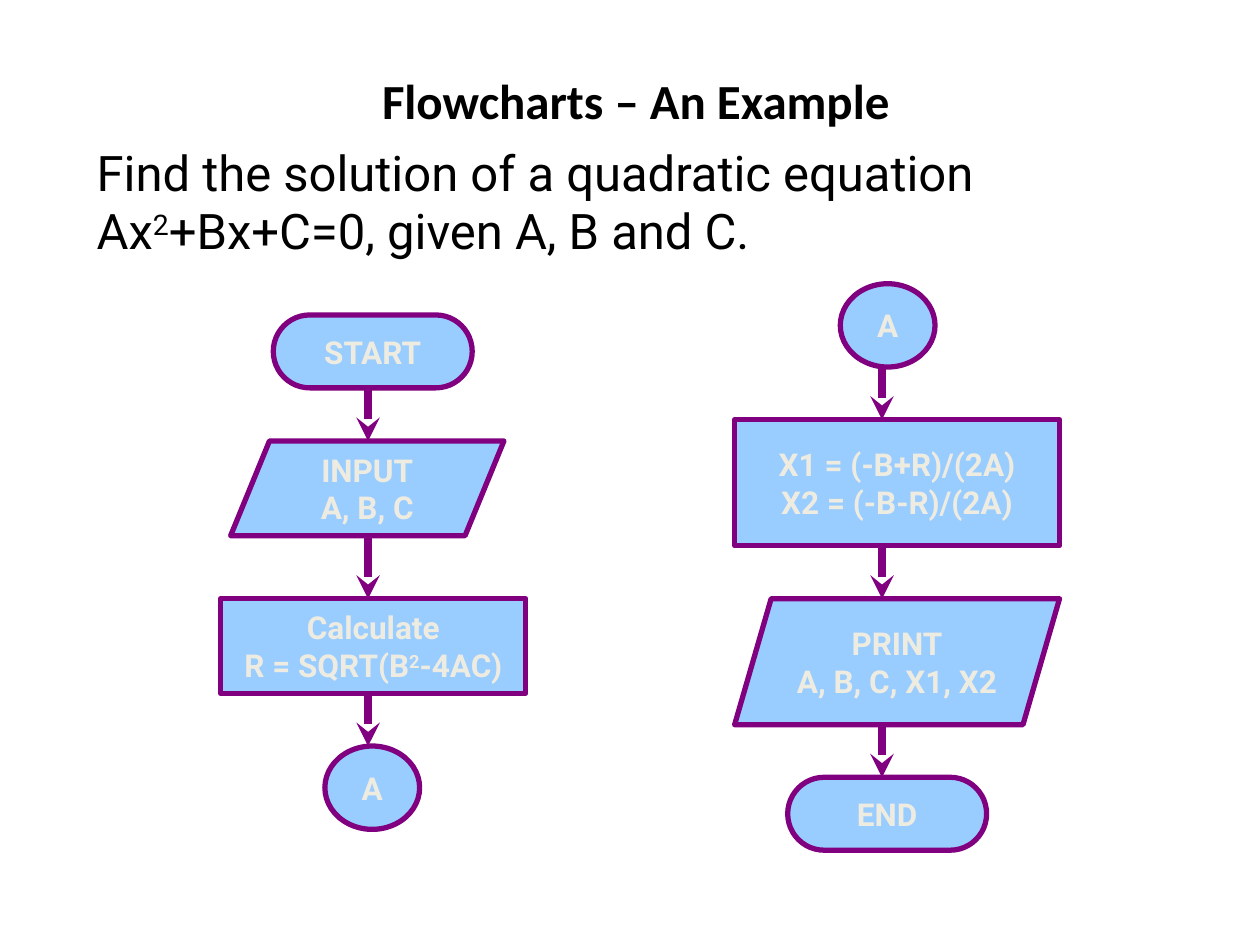
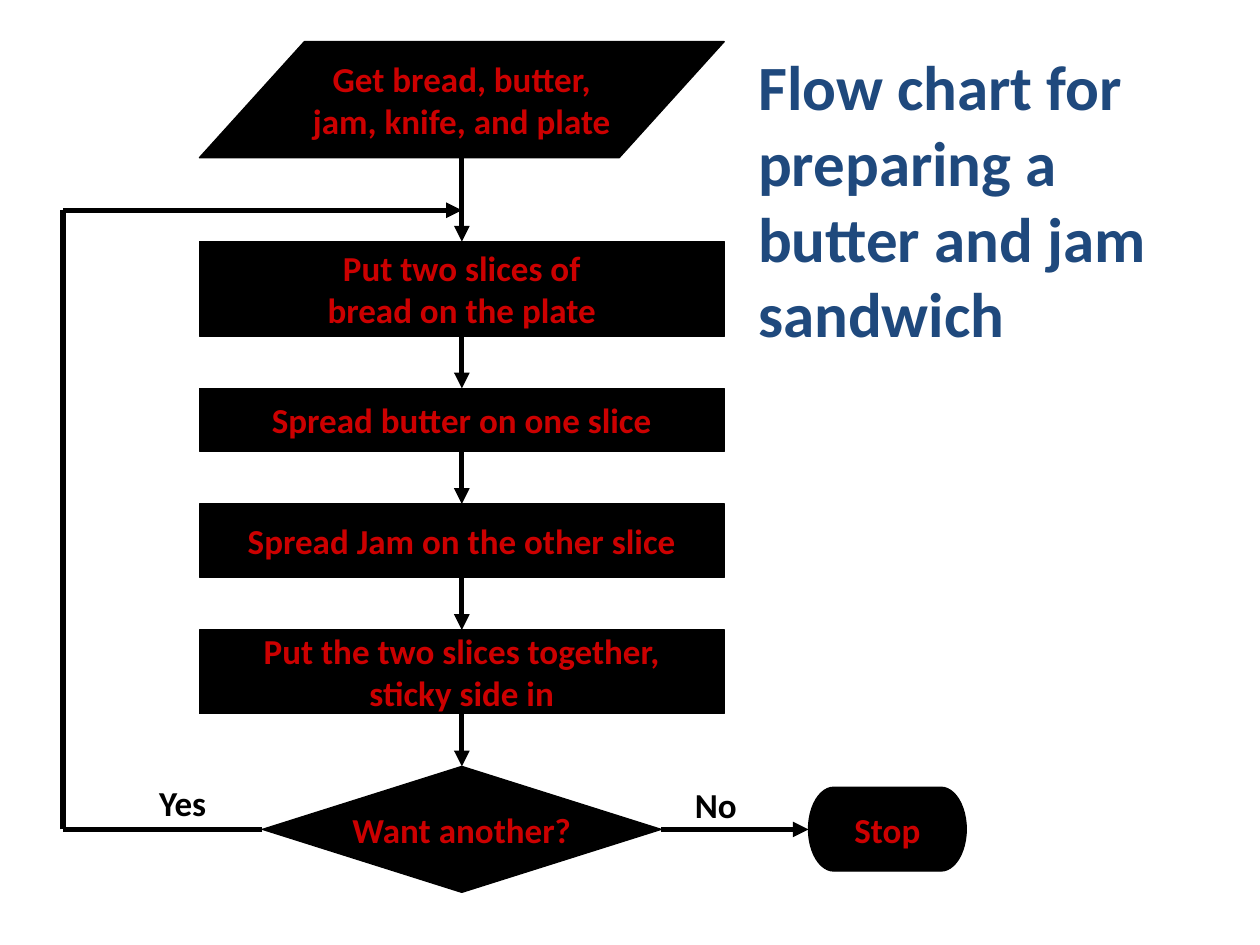
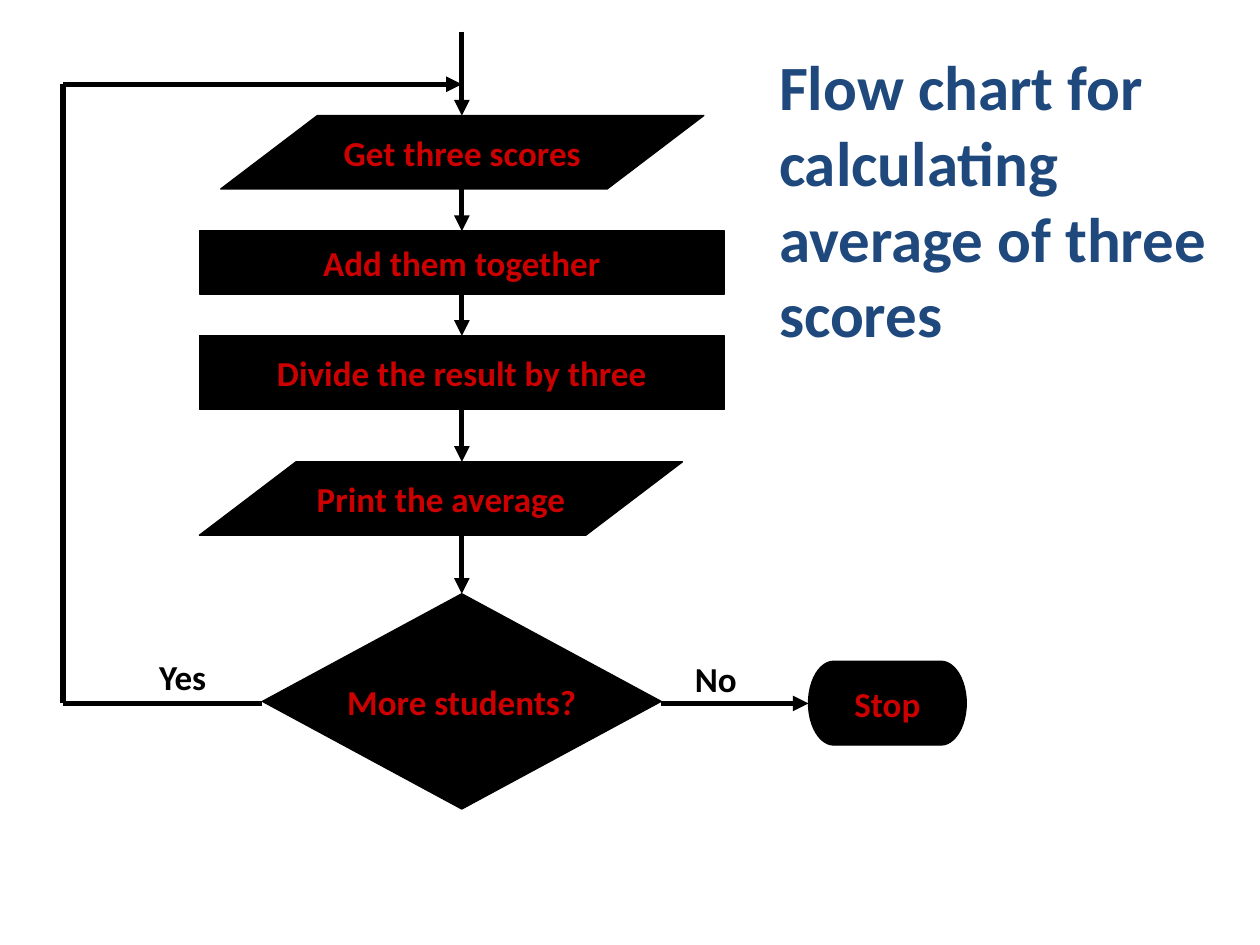
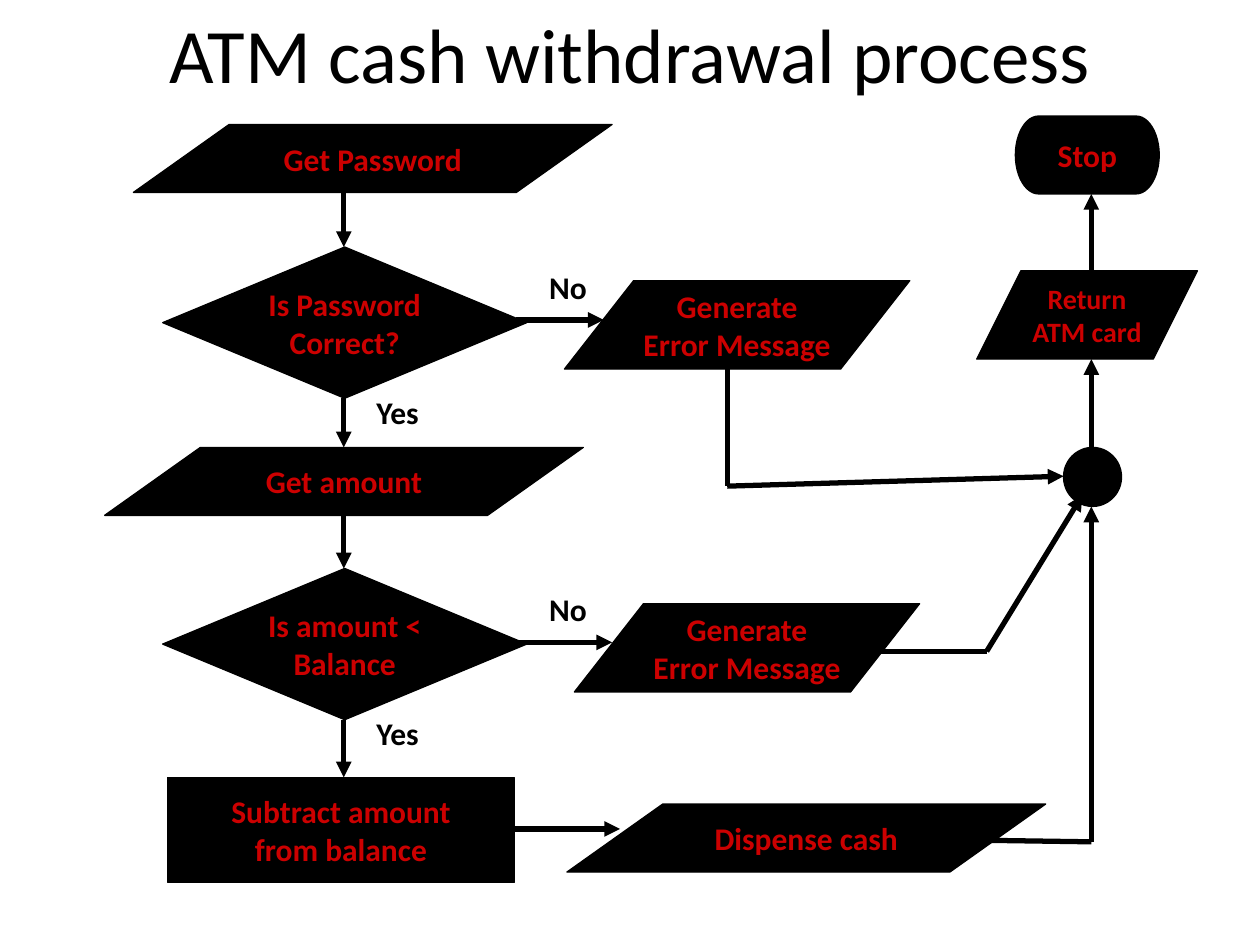
import itertools
from dataclasses import dataclass
from typing import Any, Optional

import pptx
import pptx.dml.color
import pptx.enum.shapes
import pptx.enum.text
import pptx.oxml
import pptx.oxml.ns
import pptx.util

Cm = pptx.util.Cm
Pt = pptx.util.Pt
Preset = pptx.enum.shapes.MSO_SHAPE
Align = pptx.enum.text.PP_ALIGN
Anchor = pptx.enum.text.MSO_ANCHOR
AutoSize = pptx.enum.text.MSO_AUTO_SIZE


@dataclass(frozen=True)
class Type:
    font: str
    size: int
    color: str
    bold: bool = False


@dataclass(frozen=True)
class Look:
    """How the steps and arrows of one flowchart are drawn."""
    fill: str
    outline: str
    outline_width: float
    arrow_width: float
    arrowhead: str
    step: Type


@dataclass(frozen=True)
class Theme:
    example_title: Type = Type("Calibri", 28, "000000", True)
    side_title: Type = Type("Calibri", 36, "1F497D", True)
    process_title: Type = Type("Calibri", 44, "000000")
    task: Type = Type("Roboto", 28, "000000")
    branch: Type = Type("Calibri", 20, "000000", True)
    small_branch: Type = Type("Calibri", 18, "000000", True)
    small_step: Type = Type("Calibri", 18, "CC0000", True)
    smallest_step: Type = Type("Calibri", 16, "CC0000", True)
    blue: Look = Look("99CCFF", "800080", 3, 4.5, "stealth",
                      Type("Roboto", 18, "EEECE1", True))
    black: Look = Look("000000", "000000", 0.75, 3, "triangle",
                       Type("Calibri", 20, "CC0000", True))


THEME = Theme()


@dataclass(frozen=True)
class Box:
    """A place on the slide, in centimetres."""
    left: float
    top: float
    width: float
    height: float

    @property
    def bottom(self) -> float:
        return self.top + self.height

    def lengths(self) -> tuple:
        return Cm(self.left), Cm(self.top), Cm(self.width), Cm(self.height)


@dataclass(frozen=True)
class Step:
    preset: Any
    text: str
    box: Box
    slant: Optional[float] = None
    type: Optional[Type] = None


Point = tuple[float, float]


def rgb(color: str) -> Any:
    return pptx.dml.color.RGBColor.from_string(color)


def write(frame: Any, text: str, style: Type, align: Any = Align.LEFT) -> None:
    """Write one paragraph per line; text between two ^ is superscript."""
    for number, line in enumerate(text.split("\n")):
        paragraph = frame.add_paragraph() if number else frame.paragraphs[0]
        paragraph.alignment = align
        paragraph.font.name = style.font
        paragraph.font.size = Pt(style.size)
        paragraph.font.bold = style.bold
        paragraph.font.color.rgb = rgb(style.color)
        for position, part in enumerate(line.split("^")):
            run = paragraph.add_run()
            run.text = part
            if position % 2:
                run._r.get_or_add_rPr().set("baseline", "30000")


def add_title(slide: Any, text: str, box: Box, style: Type,
              align: Any = Align.CENTER, anchor: Any = Anchor.MIDDLE) -> None:
    title = slide.shapes.title
    title.left, title.top, title.width, title.height = box.lengths()
    title.text_frame.word_wrap = True
    title.text_frame.auto_size = AutoSize.NONE
    title.text_frame.vertical_anchor = anchor
    write(title.text_frame, text, style, align)


def add_label(slide: Any, text: str, box: Box, style: Type) -> Any:
    frame = slide.shapes.add_textbox(*box.lengths()).text_frame
    frame.word_wrap = True
    frame.auto_size = AutoSize.SHAPE_TO_FIT_TEXT
    write(frame, text, style)
    return frame


def add_step(slide: Any, step: Step, look: Look) -> None:
    shape = slide.shapes.add_shape(step.preset, *step.box.lengths())
    shape.shadow.inherit = False
    if step.slant is not None:
        shape.adjustments[0] = step.slant
    shape.fill.solid()
    shape.fill.fore_color.rgb = rgb(look.fill)
    shape.line.color.rgb = rgb(look.outline)
    shape.line.width = Pt(look.outline_width)
    if step.text:
        shape.text_frame.word_wrap = False
        shape.text_frame.vertical_anchor = Anchor.MIDDLE
        write(shape.text_frame, step.text, step.type or look.step, Align.CENTER)


def add_route(slide: Any, points: list[Point], look: Look) -> None:
    """Join the points with straight lines; the last one ends in an arrowhead."""
    for start, end in itertools.pairwise(points):
        line = slide.shapes.add_connector(
            pptx.enum.shapes.MSO_CONNECTOR.STRAIGHT, *map(Cm, start + end))
        line.line.color.rgb = rgb(look.outline)
        line.line.width = Pt(look.arrow_width)
        properties = line._element.spPr
        properties.append(pptx.oxml.parse_xml(
            f"<a:effectLst {pptx.oxml.ns.nsdecls('a')}/>"))
        if end == points[-1]:
            line.line._get_or_add_ln().append(pptx.oxml.parse_xml(
                f'<a:tailEnd {pptx.oxml.ns.nsdecls("a")} type="{look.arrowhead}"/>'))


def add_chain(slide: Any, steps: list[Step], axis: float, look: Look) -> None:
    """Draw the steps of a column, up or down, with an arrow to each next one."""
    for step in steps:
        add_step(slide, step, look)
    for step, following in itertools.pairwise(steps):
        here, there = step.box, following.box
        if there.top > here.top:
            ends = here.bottom, there.top
        else:
            ends = here.top, there.bottom
        add_route(slide, [(axis, y) for y in ends], look)


def new_slide(deck: Any) -> Any:
    return deck.slides.add_slide(deck.slide_layouts[5])


def build_quadratic(deck: Any) -> None:
    slide = new_slide(deck)
    look = THEME.blue
    add_title(slide, "Flowcharts – An Example", Box(5.51, 0.84, 14.61, 2.34),
              THEME.example_title)
    task = add_label(
        slide, "Find the solution of a quadratic equation Ax^2^+Bx+C=0, given A, B and C.",
        Box(0, 2.74, 25.4, 2.97), THEME.task)
    task.paragraphs[0]._p.get_or_add_pPr().set("marL", str(Cm(1.7)))
    add_chain(slide, [
        Step(Preset.ROUNDED_RECTANGLE, "START", Box(5.51, 6.35, 4.01, 1.47), 0.5),
        Step(Preset.PARALLELOGRAM, "INPUT\nA, B, C", Box(4.65, 8.89, 5.51, 1.91), 0.41),
        Step(Preset.RECTANGLE, "Calculate\nR = SQRT(B^2^-4AC)", Box(4.45, 12.07, 6.15, 1.91)),
        Step(Preset.OVAL, "A", Box(6.55, 15.04, 1.91, 1.68)),
    ], 7.42, look)
    add_chain(slide, [
        Step(Preset.OVAL, "A", Box(16.94, 5.72, 1.91, 1.68)),
        Step(Preset.RECTANGLE, "X1 = (-B+R)/(2A)\nX2 = (-B-R)/(2A)",
             Box(14.81, 8.46, 6.55, 2.54)),
        Step(Preset.PARALLELOGRAM, "PRINT\nA, B, C, X1, X2",
             Box(14.81, 12.07, 6.55, 2.54), 0.29),
        Step(Preset.ROUNDED_RECTANGLE, "END", Box(15.88, 15.67, 4.01, 1.47), 0.5),
    ], 17.78, look)


LOOP_AXIS = 9.31


def build_loop(deck: Any, title: str, title_left: float, steps: list[Step],
               branch_y: float) -> Any:
    """Draw a column whose last step loops back on Yes and stops on No."""
    slide = new_slide(deck)
    look = THEME.black
    add_title(slide, title, Box(title_left, 0.84, 9.53, 6.35), THEME.side_title,
              Align.LEFT, Anchor.TOP)
    add_chain(slide, steps, LOOP_AXIS, look)
    decision = steps[-1].box
    stop = Box(16.3, branch_y - 0.85, 3.18, 1.69)
    return_x, return_y = 1.27, branch_y - 12.48
    add_step(slide, Step(Preset.FLOWCHART_TERMINATOR, "Stop", stop), look)
    add_route(slide, [(decision.left, branch_y), (return_x, branch_y),
                      (return_x, return_y), (LOOP_AXIS, return_y)], look)
    add_route(slide, [(decision.left + decision.width, branch_y),
                      (stop.left, branch_y)], look)
    add_label(slide, "Yes", Box(2.96, branch_y - 1.1, 2.75, 1.09), THEME.branch)
    add_label(slide, "No", Box(13.76, branch_y - 1.05, 2.75, 1.09), THEME.branch)
    return slide


def build_sandwich(deck: Any) -> None:
    left, width = 4.02, 10.58
    process = Preset.FLOWCHART_PROCESS
    build_loop(deck, "Flow chart for preparing a butter and jam sandwich", 15.03, [
        Step(Preset.FLOWCHART_DATA, "Get bread, butter,\njam, knife, and plate",
             Box(left, 0.84, width, 2.34)),
        Step(process, "Put two slices of\nbread on the plate", Box(left, 4.87, width, 1.91)),
        Step(process, "Spread butter on one slice", Box(left, 7.83, width, 1.27)),
        Step(process, "Spread Jam on the other slice", Box(left, 10.16, width, 1.48)),
        Step(process, "Put the two slices together,\nsticky side in",
             Box(left, 12.7, width, 1.69)),
        Step(Preset.FLOWCHART_DECISION, "Want another?", Box(5.29, 15.45, 8.04, 2.54)),
    ], 16.72)


def build_average(deck: Any) -> None:
    scores = Box(4.45, 2.33, 9.74, 1.48)
    slide = build_loop(deck, "Flow chart for calculating average of three scores", 15.45, [
        Step(Preset.FLOWCHART_DATA, "Get three scores", scores),
        Step(Preset.FLOWCHART_PROCESS, "Add them together", Box(4.02, 4.66, 10.58, 1.27)),
        Step(Preset.FLOWCHART_PROCESS, "Divide the result by three",
             Box(4.02, 6.77, 10.58, 1.48)),
        Step(Preset.FLOWCHART_DATA, "Print the average", Box(4.02, 9.31, 9.74, 1.48)),
        Step(Preset.FLOWCHART_DECISION, "More students?", Box(5.29, 11.97, 8.04, 4.34)),
    ], 14.18)
    add_route(slide, [(LOOP_AXIS, 0.64), (LOOP_AXIS, scores.top)], THEME.black)


def build_withdrawal(deck: Any) -> None:
    slide = new_slide(deck)
    look, small = THEME.black, THEME.small_step
    add_title(slide, "ATM cash withdrawal process", Box(1.27, 0, 22.86, 2.11),
              THEME.process_title)

    def data(text: str, box: Box, style: Type = small) -> Step:
        return Step(Preset.FLOWCHART_DATA, text, box, type=style)

    def decision(text: str, top: float) -> Step:
        return Step(Preset.FLOWCHART_DECISION, text, Box(3.28, top, 7.34, 3.05), type=small)

    add_chain(slide, [
        data("Get Password", Box(2.69, 2.51, 9.65, 1.37)),
        decision("Is Password\nCorrect?", 4.98),
        data("Get amount", Box(2.11, 9.02, 9.65, 1.37)),
        decision("Is amount <\nBalance", 11.46),
        Step(Preset.FLOWCHART_PROCESS, "Subtract amount\nfrom balance",
             Box(3.38, 15.67, 6.99, 2.12), type=small),
    ], 6.93, look)
    add_chain(slide, [
        Step(Preset.FLOWCHART_CONNECTOR, "", Box(21.44, 9.02, 1.17, 1.19)),
        data("Return\nATM card", Box(19.69, 5.46, 4.45, 1.78), THEME.smallest_step),
        Step(Preset.FLOWCHART_TERMINATOR, "Stop", Box(20.47, 2.34, 2.9, 1.57), type=small),
    ], 22, look)
    for outcome in (
        data("Generate\nError Message", Box(11.38, 5.66, 6.96, 1.78)),
        data("Generate\nError Message", Box(11.58, 12.17, 6.96, 1.78)),
        data("Dispense cash", Box(11.43, 16.21, 9.65, 1.37)),
    ):
        add_step(slide, outcome, look)
    for route in (
        [(10.41, 6.45), (12.17, 6.45)],
        [(10.41, 12.95), (12.34, 12.95)],
        [(9.96, 16.71), (12.5, 16.71)],
        [(14.66, 7.44), (14.66, 9.8), (21.44, 9.6)],
        [(17.75, 13.13), (19.89, 13.13), (21.82, 9.98)],
        [(19.89, 16.94), (22, 16.97), (22, 10.21)],
    ):
        add_route(slide, route, look)
    for answer, left, top in (("No", 10.82, 5.28), ("No", 10.82, 11.76),
                              ("Yes", 7.34, 7.8), ("Yes", 7.34, 14.27)):
        add_label(slide, answer, Box(left, top, 2.51, 1.02), THEME.small_branch)


def main() -> None:
    deck = pptx.Presentation()
    deck.slide_width, deck.slide_height = Cm(25.4), Cm(19.05)
    for build in (build_quadratic, build_sandwich, build_average, build_withdrawal):
        build(deck)
    deck.save("out.pptx")


if __name__ == "__main__":
    main()
